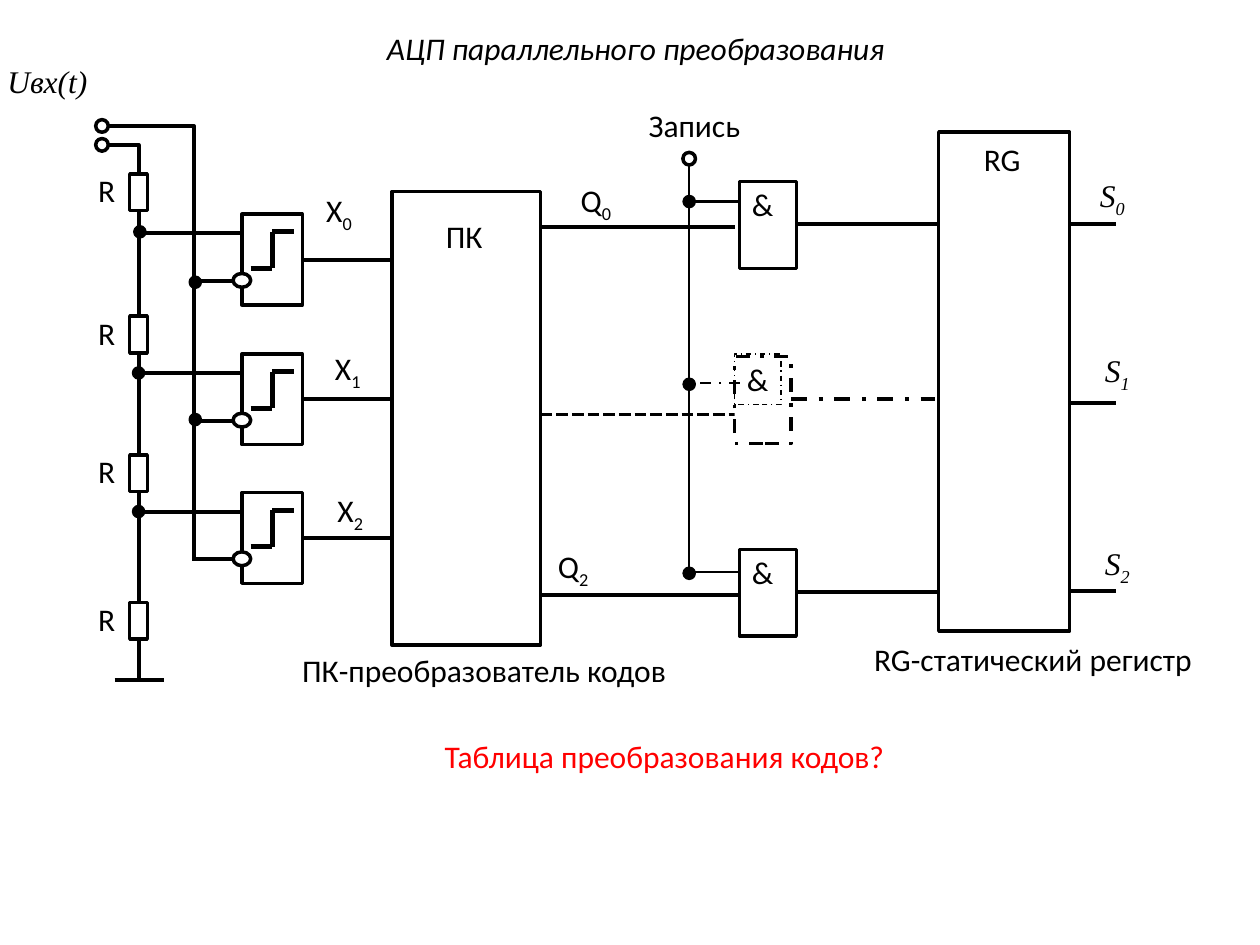
from pptx import Presentation
from pptx.dml.color import RGBColor
from pptx.enum.dml import MSO_LINE
from pptx.enum.shapes import MSO_CONNECTOR, MSO_SHAPE
from pptx.enum.text import MSO_ANCHOR, MSO_AUTO_SIZE, PP_ALIGN
from pptx.oxml.ns import qn
from pptx.util import Inches, Pt
from lxml import etree

RECT, OVAL = MSO_SHAPE.RECTANGLE, MSO_SHAPE.OVAL
STRAIGHT, ELBOW = MSO_CONNECTOR.STRAIGHT, MSO_CONNECTOR.ELBOW
DASH, DASH_DOT = MSO_LINE.SQUARE_DOT, MSO_LINE.DASH_DOT
TOP, LEFT = MSO_ANCHOR.TOP, PP_ALIGN.LEFT
FIT_SHAPE = MSO_AUTO_SIZE.SHAPE_TO_FIT_TEXT
BLACK, WHITE, RED = "000000", "FFFFFF", "FF0000"
SANS, SERIF = "Calibri", "Times New Roman"
TEXT_HEIGHT = 0.4


def color(value):
    return RGBColor.from_string(value)


def style_line(line, width, dash=None):
    line.color.rgb = color(BLACK)
    line.width = Pt(width)
    if dash is not None:
        line.dash_style = dash


def wire(slide, x1, y1, x2, y2, width=2.25, dash=None, kind=STRAIGHT):
    connector = slide.shapes.add_connector(
        kind, Inches(x1), Inches(y1), Inches(x2), Inches(y2))
    style_line(connector.line, width, dash)
    etree.SubElement(connector._element.spPr, qn("a:effectLst"))
    return connector


def corner(slide, x1, y1, x2, y2, width=2.25):
    """One bend: horizontal from the first point, then vertical."""
    connector = wire(slide, x1, y1, x2, y2, width, kind=ELBOW)
    connector._element.spPr.find(qn("a:prstGeom")).set("prst", "bentConnector2")


def outline(slide, kind, x, y, w, h, fill=None, dash=None):
    shape = slide.shapes.add_shape(kind, Inches(x), Inches(y), Inches(w), Inches(h))
    shape.shadow.inherit = False
    if fill:
        shape.fill.solid()
        shape.fill.fore_color.rgb = color(fill)
    else:
        shape.fill.background()
    style_line(shape.line, 2, dash)


def junction(slide, x, y):
    outline(slide, OVAL, x - 0.04, y - 0.04, 0.08, 0.08, BLACK)


def terminal(slide, x, y):
    outline(slide, OVAL, x - 0.05, y - 0.05, 0.1, 0.1, WHITE)


def write(frame, text, sub="", font=SANS, italic=False, ink=BLACK):
    frame.word_wrap = False
    frame.auto_size = FIT_SHAPE
    frame.vertical_anchor = TOP
    paragraph = frame.paragraphs[0]
    paragraph.alignment = LEFT
    for part, lowered in ((text, False), (sub, True)):
        if not part:
            continue
        run = paragraph.add_run()
        run.text = part
        run.font.size, run.font.name = Pt(18), font
        run.font.italic = italic
        run.font.color.rgb = color(ink)
        if lowered:
            run._r.get_or_add_rPr().set("baseline", "-25000")


def label(slide, x, y, w, text, **look):
    box = slide.shapes.add_textbox(
        Inches(x), Inches(y), Inches(w), Inches(TEXT_HEIGHT))
    write(box.text_frame, text, **look)
    return box


def title(slide, x, y, w, text):
    holder = slide.shapes.title
    holder.left, holder.top = Inches(x), Inches(y)
    holder.width, holder.height = Inches(w), Inches(TEXT_HEIGHT)
    write(holder.text_frame, text, italic=True)


def comparator(slide, x, y, w=0.48, h=0.72):
    outline(slide, RECT, x, y, w, h)
    outline(slide, OVAL, x - 0.07, y + 0.47, 0.14, 0.11, WHITE)
    # Threshold step
    low, high, middle = y + 0.43, y + 0.14, x + w / 2
    wire(slide, x + 0.07, low, middle, low, 3)
    wire(slide, middle, low, middle, high, 3)
    wire(slide, middle, high, x + 0.41, high, 3)
    # Inputs and output
    wire(slide, x - 0.82, y + 0.15, x, y + 0.15)
    wire(slide, x - 0.38, y + 0.53, x - 0.07, y + 0.53)
    wire(slide, x + w, y + 0.36, x + w + 0.71, y + 0.36)


def divider(slide, x, tops, w=0.14, h=0.29):
    """Resistor chain centred on x, with the ground below it."""
    for top in tops:
        outline(slide, RECT, x - w / 2, top, w, h)
        label(slide, x - 0.42, top - 0.07, 0.34, "R")
    for upper, lower in zip(tops, tops[1:]):
        wire(slide, x, upper + h, x, lower)
    ground = tops[-1] + 0.62
    wire(slide, x, tops[-1] + h, x, ground)
    wire(slide, x - 0.19, ground, x + 0.2, ground)


def signal_input(slide, x, y):
    label(slide, x - 0.85, y - 0.56, 0.85, "Uвх(t)", font=SERIF, italic=True)
    corner(slide, x + 0.05, y + 0.15, 1.1, 1.38)
    corner(slide, x + 0.05, y, 1.54, 4.45)
    for terminal_y in (y + 0.15, y):
        terminal(slide, x, terminal_y)


def block(slide, x, y, w, h, name, name_y):
    outline(slide, RECT, x, y, w, h)
    label(slide, x + w / 2 - 0.26, name_y, 0.5, name)


def and_gate(slide, x, y, dash=None, w=0.45, h=0.69):
    outline(slide, RECT, x, y, w, h, WHITE, dash)
    sign = label(slide, x, y - 0.02, 0.37, "&")
    if dash is not None:
        style_line(sign.line, 0.75, dash)
    wire(slide, x + w, y + 0.34, x + w + 1.14, y + 0.34, dash=dash)


def write_strobe(slide, x, y):
    label(slide, x - 0.42, y - 0.47, 0.94, "Запись")
    corner(slide, x + 0.4, 4.54, x, y + 0.04, 1.5)
    for tap_y, dash in ((1.6, None), (3.04, DASH_DOT)):
        wire(slide, x + 0.4, tap_y, x, tap_y, 1.5, dash)
    for tap_y in (1.6, 3.05, 4.55):
        junction(slide, x, tap_y)
    terminal(slide, x, y)


def register_outputs(slide, x):
    outputs = ((8.63, 1.35, 1.78), (8.67, 2.74, 3.2), (8.67, 4.27, 4.69))
    for index, (name_x, name_y, y) in enumerate(outputs):
        wire(slide, x, y, x + 0.37, y)
        label(slide, name_x, name_y, 0.41, "S", sub=str(index),
              font=SERIF, italic=True)


def build():
    deck = Presentation()
    deck.slide_width, deck.slide_height = Inches(10), Inches(7.5)
    slide = deck.slides.add_slide(deck.slide_layouts[5])
    title(slide, 2.97, 0.18, 4.19, "АЦП параллельного преобразования")

    # Analogue part: comparators, reference divider, input
    for y in (1.7, 2.81, 3.91):
        comparator(slide, 1.92, y)
    divider(slide, 1.1, (1.38, 2.51, 3.61, 4.78))
    signal_input(slide, 0.81, 1)
    for x, y in ((1.11, 1.84), (1.1, 2.96), (1.1, 4.06), (1.55, 2.24), (1.55, 3.33)):
        junction(slide, x, y)
    for index, (x, y) in enumerate(((2.49, 1.47), (2.56, 2.72), (2.58, 3.85))):
        label(slide, x, y, 0.42, "X", sub=str(index))

    # Code converter and its outputs
    block(slide, 3.11, 1.52, 1.18, 3.6, "ПК", 1.67)
    for y, end, dash in ((1.8, 5.83, None), (3.29, 5.83, DASH), (4.72, 5.87, None)):
        wire(slide, 4.29, y, end, y, dash=dash)
    for x, y, index in ((4.51, 1.39, "0"), (4.33, 4.29, "2")):
        label(slide, x, y, 0.46, "Q", sub=index)

    # Gates and write strobe
    for x, y, dash in ((5.87, 1.44, None), (5.87, 4.36, None), (5.83, 2.83, DASH_DOT)):
        and_gate(slide, x, y, dash)
    write_strobe(slide, 5.47, 1.26)

    # Register
    block(slide, 7.45, 1.05, 1.04, 3.96, "RG", 1.06)
    register_outputs(slide, 8.49)

    # Captions
    label(slide, 6.84, 5.03, 2.76, "RG-статический регистр")
    label(slide, 2.3, 5.12, 3.12, "ПК-преобразователь кодов")
    label(slide, 3.43, 5.8, 3.73, "Таблица преобразования кодов?", ink=RED)
    deck.save("out.pptx")


if __name__ == "__main__":
    build()
